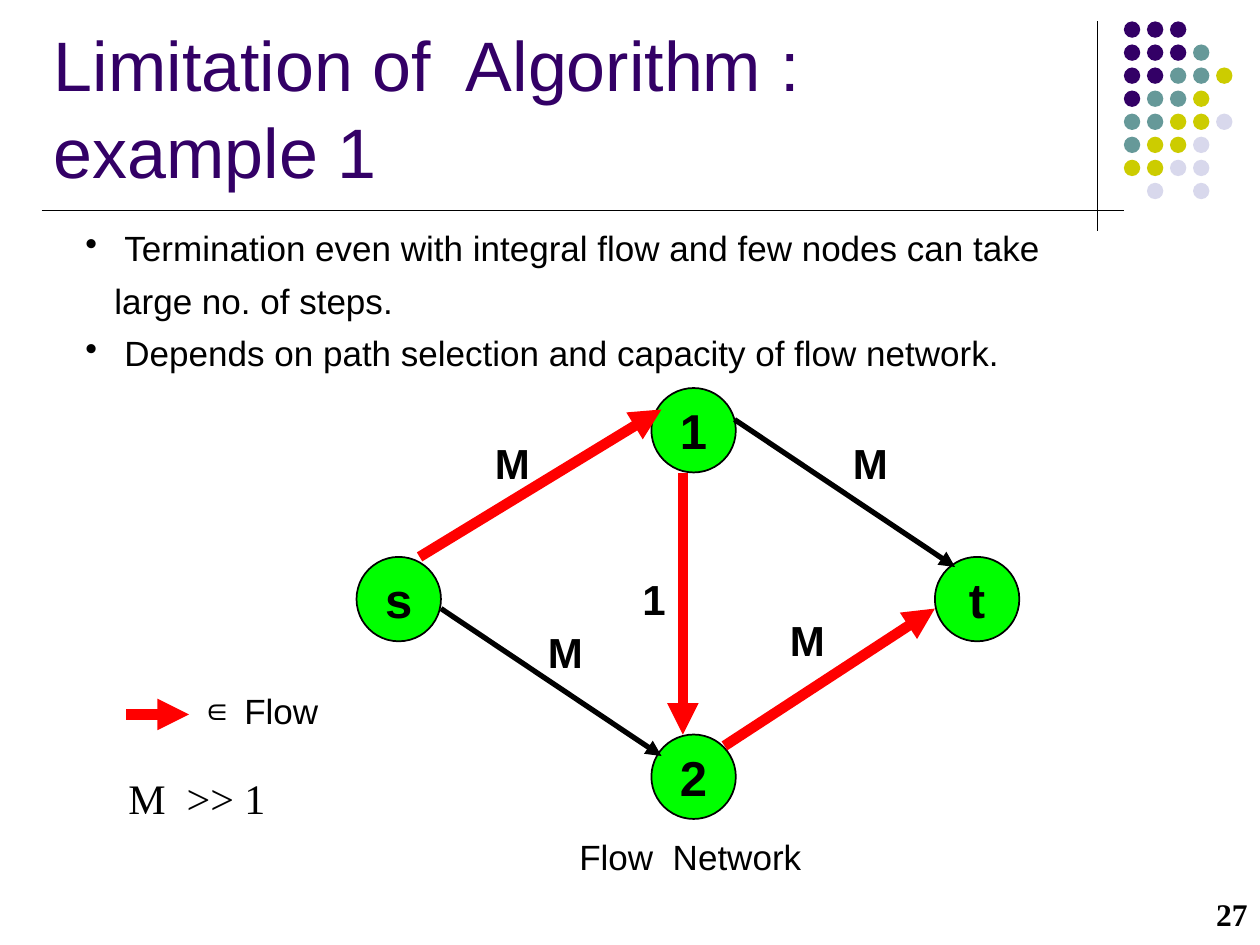
from lxml import etree
from pptx import Presentation
from pptx import util as u
from pptx.dml.color import RGBColor
from pptx.enum import shapes, text
from pptx.oxml import ns

BLACK, RED, GREEN, PURPLE = "000000", "FF0000", "00FF00", "330066"
DOT_COLOURS = {"P": PURPLE, "T": "669999", "Y": "CCCC00", "L": "D8D8EC"}
DOT_ROWS = ["PPP", "PPPT", "PPTTY", "PTTY", "TTYYL", "TYYL", "YYLL", " L L"]
NODES = [("s", 2.83, 4.42), ("1", 5.17, 3.08), ("2", 5.17, 5.83), ("t", 7.42, 4.42)]
PLAIN_EDGES = [(5.83, 3.33, 7.58, 4.5), (3.5, 4.83, 5.25, 6)]
FLOW_EDGES = [(3.33, 4.42, 5.25, 3.25), (5.75, 5.92, 7.42, 4.83),
              (5.42, 3.75, 5.42, 5.83), (1, 5.67, 1.5, 5.67)]
CAPACITIES = [("M", 3.83, 3.42), ("M", 6.67, 3.42), ("M", 6.17, 4.83),
              ("M", 4.25, 4.92), ("1", 5, 4.5)]
POINTS = [("Termination even with integral flow and few nodes can take", True),
          ("large no. of steps.", False),
          ("Depends on path selection and capacity of flow network.", True)]


def colour(value):
    """Turn a hex string into a colour."""
    return RGBColor.from_string(value)


def style(para, size, bold=False, name="Arial", shade=BLACK):
    """Format every run of a paragraph."""
    for span in para.runs:
        span.font.size, span.font.bold, span.font.name = u.Pt(size), bold, name
        span.font.color.rgb = colour(shade)


def add_text(page, words, left, top, width, height, size, wrap=False, **look):
    """Add a text box with one styled paragraph."""
    box = page.shapes.add_textbox(*map(u.Inches, (left, top, width, height)))
    box.text_frame.text = words
    box.text_frame.word_wrap = wrap
    style(box.text_frame.paragraphs[0], size, **look)
    return box


def add_circle(page, left, top, size, fill):
    """Add a filled circle without outline."""
    circle = page.shapes.add_shape(shapes.MSO_SHAPE.OVAL, *map(u.Inches, (left, top, size, size)))
    circle.shadow.inherit = False
    circle.fill.solid()
    circle.fill.fore_color.rgb = colour(fill)
    circle.line.fill.background()
    return circle


def add_node(page, name, left, top):
    """Add a labelled network node."""
    node = add_circle(page, left, top, 0.67, GREEN)
    node.line.color.rgb = colour(BLACK)
    node.line.width = u.Pt(1)
    frame = node.text_frame
    frame.text = name
    frame.word_wrap = False
    frame.vertical_anchor = text.MSO_ANCHOR.MIDDLE
    frame.paragraphs[0].alignment = text.PP_ALIGN.CENTER
    style(frame.paragraphs[0], 28, bold=True)


def add_line(page, ends, width, shade=BLACK, arrow=False):
    """Add a straight line, with an arrowhead at its end if asked."""
    line = page.shapes.add_connector(shapes.MSO_CONNECTOR.STRAIGHT, *map(u.Inches, ends))
    line.line.color.rgb = colour(shade)
    line.line.width = u.Pt(width)
    if arrow:
        etree.SubElement(line.line._get_or_add_ln(), ns.qn("a:tailEnd"), type="triangle")
    etree.SubElement(line._element.spPr, ns.qn("a:effectLst"))


def add_dots(page):
    """Add the corner grid of coloured dots."""
    for row, codes in enumerate(DOT_ROWS):
        for column, code in enumerate(codes):
            if code in DOT_COLOURS:
                add_circle(page, 8.92 + column * 0.183, 0.17 + row * 0.183, 0.13, DOT_COLOURS[code])


def add_points(page):
    """Add the bulleted statements."""
    box = page.shapes.add_textbox(*map(u.Inches, (0.58, 1.75, 8.17, 1.24)))
    frame = box.text_frame
    frame.text = "\n".join(words for words, _ in POINTS)
    frame.word_wrap = True
    for index, (para, (_, bulleted)) in enumerate(zip(frame.paragraphs, POINTS)):
        properties = para._p.get_or_add_pPr()
        properties.set("marL", str(u.Inches(0.31 if bulleted else 0.23)))
        if bulleted:
            properties.set("indent", str(-u.Inches(0.31)))
            etree.SubElement(properties, ns.qn("a:buChar"), char="•")
        if index:
            para.space_before = u.Pt(6)
        style(para, 20)


def add_network(page):
    """Add the nodes, edges and capacities of the flow network."""
    for node in NODES:
        add_node(page, *node)
    for ends in PLAIN_EDGES:
        add_line(page, ends, 3, arrow=True)
    for name, left, top in CAPACITIES:
        add_text(page, name, left, top, 0.58, 0.5, 24, wrap=True, bold=True)
    for ends in FLOW_EDGES:
        add_line(page, ends, 6, RED, arrow=True)


def main():
    """Build and save the slide."""
    deck = Presentation()
    deck.slide_width, deck.slide_height = u.Inches(10), u.Inches(7.5)
    page = deck.slides.add_slide(deck.slide_layouts[6])
    add_line(page, (8.71, 0.17, 8.71, 1.83), 0.75)
    add_dots(page)
    add_line(page, (0.33, 1.67, 8.92, 1.67), 0.75)
    title = add_text(page, "Limitation of  Algorithm : example 1",
                     0.33, 0.25, 8.17, 1.33, 40, wrap=True, shade=PURPLE)
    title.text_frame.vertical_anchor = text.MSO_ANCHOR.BOTTOM
    title.text_frame.paragraphs[0].line_spacing = 1.04
    add_points(page)
    add_network(page)
    add_text(page, "∈", 1.5, 5.42, 0.38, 0.4, 18)
    add_text(page, "Flow", 1.84, 5.42, 0.79, 0.44, 20)
    add_text(page, "M  >> 1", 0.92, 6.08, 1.29, 0.5, 24, name="Times New Roman")
    add_text(page, "Flow  Network", 4.5, 6.58, 1.96, 0.44, 20)
    number = add_text(page, "27", 8.08, 7, 1.92, 0.5, 18, wrap=True, bold=True, name="Times New Roman")
    number.text_frame.vertical_anchor = text.MSO_ANCHOR.MIDDLE
    number.text_frame.paragraphs[0].alignment = text.PP_ALIGN.RIGHT
    deck.save("out.pptx")


if __name__ == "__main__":
    main()
